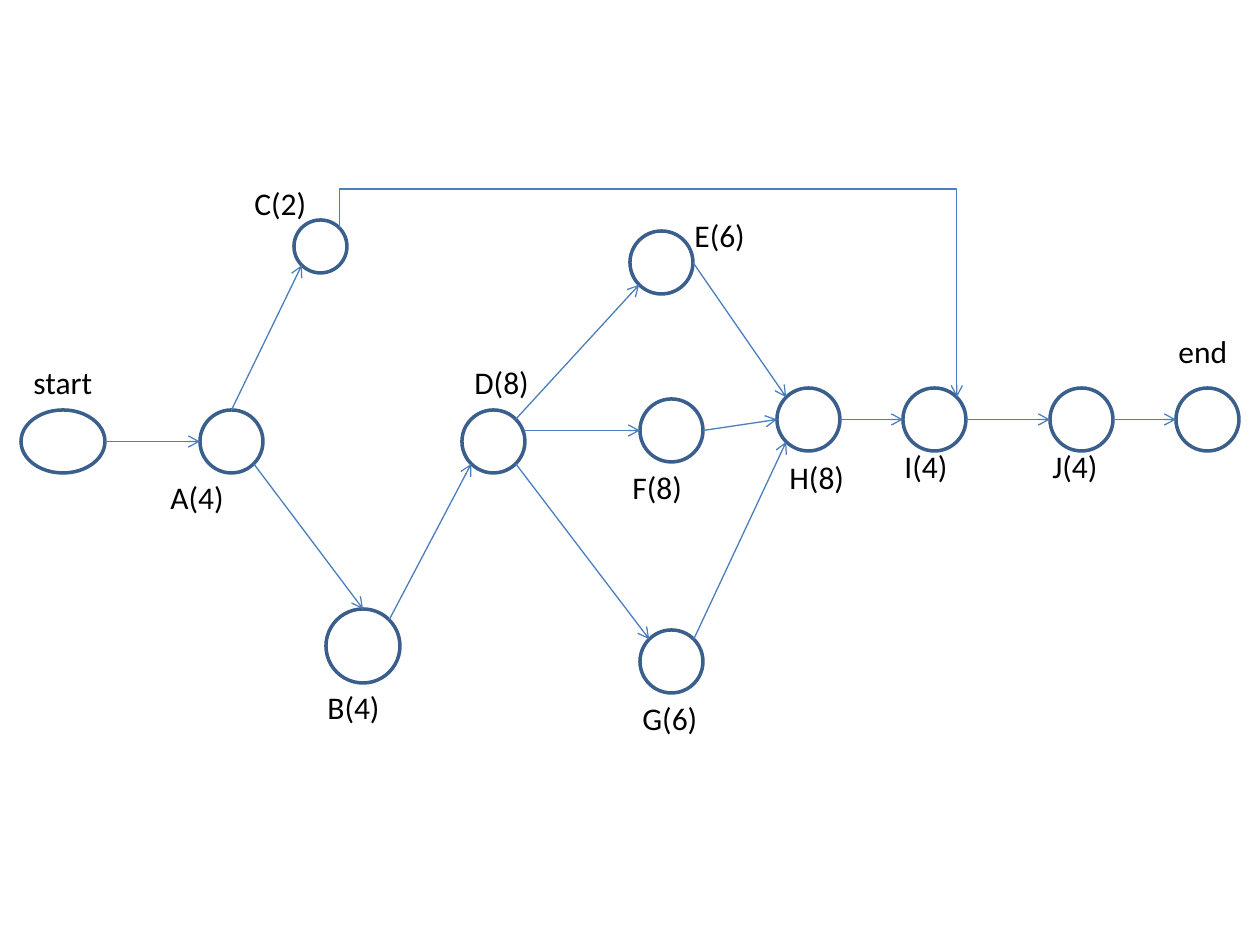
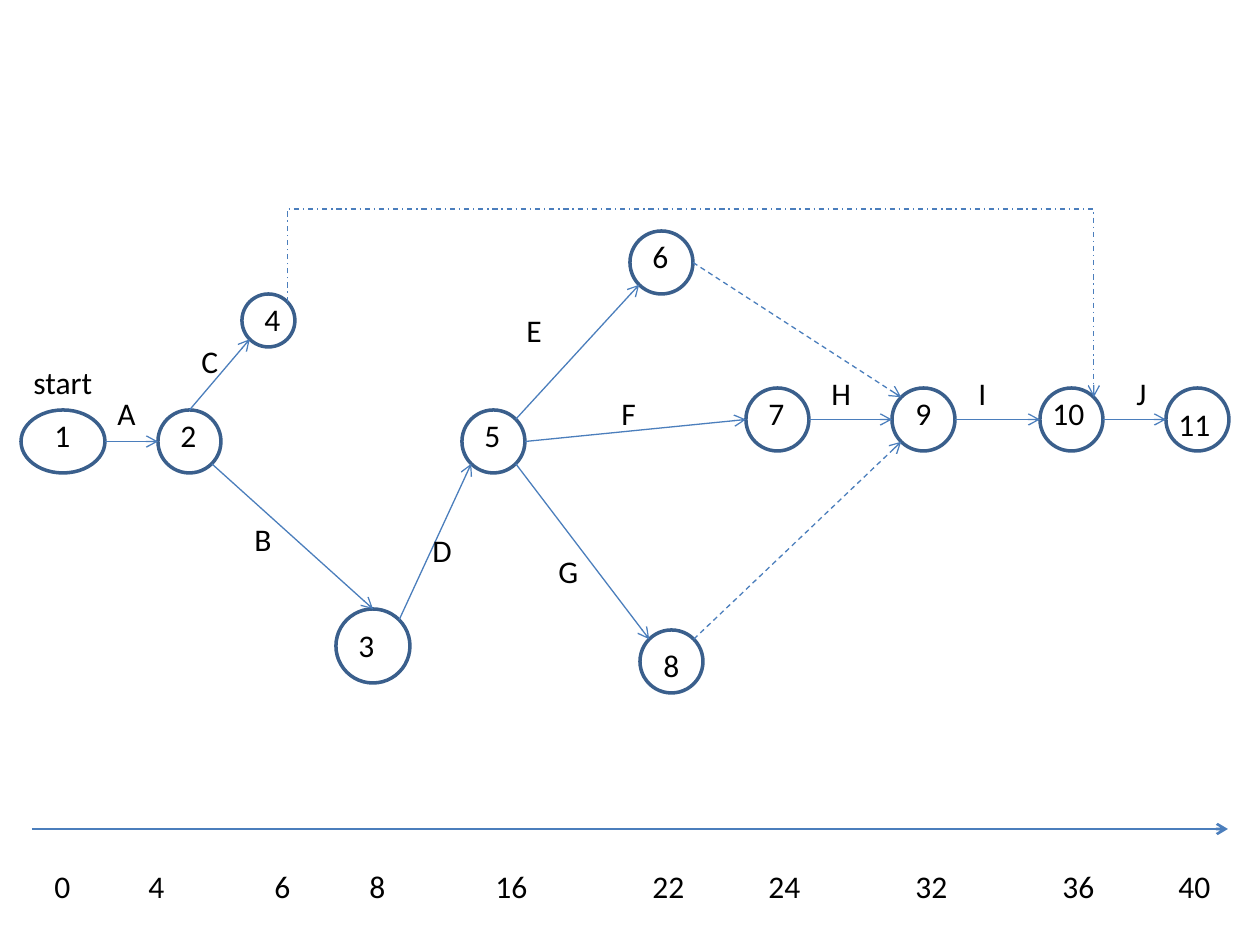
from dataclasses import dataclass
from math import sqrt

from lxml import etree
from pptx import Presentation
from pptx.dml.color import RGBColor
from pptx.enum.dml import MSO_LINE
from pptx.enum.shapes import MSO_CONNECTOR, MSO_SHAPE
from pptx.enum.text import MSO_AUTO_SIZE
from pptx.oxml.ns import qn
from pptx.util import Emu, Inches, Pt

STRAIGHT, ELBOW = MSO_CONNECTOR.STRAIGHT, MSO_CONNECTOR.ELBOW
OVAL = MSO_SHAPE.OVAL
DASH, DASH_DOT = MSO_LINE.DASH, MSO_LINE.DASH_DOT
FIT_SHAPE = MSO_AUTO_SIZE.SHAPE_TO_FIT_TEXT


@dataclass(frozen=True)
class Theme:
    font: str = "Calibri"
    size: float = 18
    text: str = "000000"
    node_fill: str = "FFFFFF"
    node_line: str = "3A5F8C"
    node_width: float = 2
    arrow: str = "4B7EBC"
    arrow_width: float = 0.75
    axis_width: float = 1.5


THEME = Theme()
PIXEL = Inches(1) / 126
LABEL_HEIGHT = 50

# Content: nodes are name: (left, top, width, height)
ACTIVITY_NODES = {
    "start": (21, 410, 84, 63), "A": (200, 410, 63, 63),
    "D": (462, 410, 63, 63), "C": (294, 220, 53, 53),
    "B": (326, 609, 74, 74), "F": (640, 399, 63, 63),
    "G": (640, 630, 63, 63), "H": (777, 388, 63, 63),
    "E": (630, 231, 63, 63), "I": (903, 388, 63, 63),
    "J": (1050, 388, 63, 63), "end": (1176, 388, 63, 63),
}
EVENT_NODES = {
    "1": (21, 410, 84, 63), "2": (158, 410, 63, 63),
    "5": (462, 410, 63, 63), "4": (242, 294, 53, 53),
    "3": (336, 609, 74, 74), "7": (746, 388, 63, 63),
    "8": (640, 630, 63, 63), "9": (892, 388, 63, 63),
    "6": (630, 231, 63, 63), "10": (1040, 388, 63, 63),
    "11": (1166, 388, 63, 63),
}

# Arrows: (from node, side, to node, side, dash)
ACTIVITY_ARROWS = [
    ("start", "e", "A", "w", None), ("A", "n", "C", "sw", None),
    ("A", "se", "B", "n", None), ("B", "ne", "D", "sw", None),
    ("D", "ne", "E", "sw", None), ("D", "level", "F", "w", None),
    ("D", "se", "G", "nw", None), ("E", "e", "H", "nw", None),
    ("F", "e", "H", "w", None), ("G", "ne", "H", "sw", None),
    ("H", "e", "I", "w", None), ("I", "e", "J", "w", None),
    ("J", "e", "end", "w", None),
]
EVENT_ARROWS = [
    ("1", "e", "2", "w", None), ("2", "n", "4", "sw", None),
    ("2", "se", "3", "n", None), ("3", "ne", "5", "sw", None),
    ("5", "ne", "6", "sw", None), ("5", "e", "7", "w", None),
    ("5", "se", "8", "nw", None), ("6", "e", "9", "nw", DASH),
    ("8", "ne", "9", "sw", DASH), ("7", "e", "9", "w", None),
    ("9", "e", "10", "w", None), ("10", "e", "11", "w", None),
]

# Labels: (text, left, top, width)
ACTIVITY_LABELS = [
    ("start", 21, 357, 84), ("end", 1166, 326, 94), ("A(4)", 158, 472, 94),
    ("B(4)", 315, 682, 94), ("C(2)", 242, 178, 94), ("D(8)", 462, 357, 94),
    ("E(6)", 682, 210, 94), ("F(8)", 620, 462, 94), ("G(6)", 630, 693, 94),
    ("H(8)", 777, 452, 94), ("I(4)", 892, 441, 94), ("J(4)", 1040, 441, 94),
]
EVENT_LABELS = [
    ("start", 21, 357, 84),
    ("A", 105, 388, 94), ("B", 242, 514, 53), ("C", 189, 336, 53),
    ("D", 420, 525, 94), ("E", 514, 305, 42), ("F", 609, 388, 42),
    ("G", 546, 546, 53), ("H", 819, 368, 53), ("I", 966, 368, 42),
    ("J", 1124, 368, 42),
    ("1", 42, 410, 42), ("2", 168, 410, 42), ("3", 346, 620, 42),
    ("4", 252, 294, 42), ("5", 472, 410, 42), ("6", 640, 231, 42),
    ("7", 756, 388, 42), ("8", 651, 640, 42), ("9", 903, 388, 42),
    ("10", 1040, 388, 63), ("11", 1166, 399, 63),
]

# Time axis: (time, left, label width)
AXIS = ((32, 829), (1228, 829))
TICK_TOP = 861
TICKS = [
    ("0", 42, 42), ("4", 136, 42), ("6", 262, 42), ("8", 357, 42),
    ("16", 483, 63), ("22", 640, 63), ("24", 756, 63),
    ("32", 903, 74), ("36", 1050, 74), ("40", 1166, 74),
]


def px(value):
    return Emu(round(value * PIXEL))


def side_point(box, side):
    """Point of an ellipse in a compass direction."""
    left, top, width, height = box
    dx = ("e" in side) - ("w" in side)
    dy = ("s" in side) - ("n" in side)
    reach = 1 / sqrt(2) if dx and dy else 1
    return (left + width / 2 * (1 + dx * reach),
            top + height / 2 * (1 + dy * reach))


def add_text(slide, text, left, top, width, size=THEME.size, color=THEME.text):
    label = slide.shapes.add_textbox(px(left), px(top), px(width), px(LABEL_HEIGHT))
    frame = label.text_frame
    frame.word_wrap = True
    frame.auto_size = FIT_SHAPE
    run = frame.paragraphs[0].add_run()
    run.text = text
    run.font.name = THEME.font
    run.font.size = Pt(size)
    run.font.color.rgb = RGBColor.from_string(color)


def add_node(slide, box):
    node = slide.shapes.add_shape(OVAL, *map(px, box))
    node.shadow.inherit = False
    node.fill.solid()
    node.fill.fore_color.rgb = RGBColor.from_string(THEME.node_fill)
    node.line.color.rgb = RGBColor.from_string(THEME.node_line)
    node.line.width = Pt(THEME.node_width)


def add_arrow(slide, start, end, kind=STRAIGHT, dash=None, width=THEME.arrow_width):
    arrow = slide.shapes.add_connector(kind, *map(px, (*start, *end)))
    arrow.line.color.rgb = RGBColor.from_string(THEME.arrow)
    arrow.line.width = Pt(width)
    if dash is not None:
        arrow.line.dash_style = dash
    properties = arrow._element.spPr
    etree.SubElement(properties.find(qn("a:ln")), qn("a:tailEnd"), type="arrow")
    etree.SubElement(properties, qn("a:effectLst"))
    return arrow


def add_bypass(slide, start, end, top, dash=None):
    """Elbow arrow that rises to top, runs right and drops to its end."""
    (x1, y1), (x2, y2) = start, end
    mid_x, mid_y = (x1 + x2) / 2, (y1 + y2) / 2
    half_run, half_drop = (x2 - x1) / 2, (y2 - y1) / 2
    # The elbow is drawn sideways, then turned by 270 degrees
    arrow = add_arrow(slide, (mid_x + half_drop, mid_y - half_run),
                      (mid_x - half_drop, mid_y + half_run), kind=ELBOW, dash=dash)
    properties = arrow._element.spPr
    properties.find(qn("a:xfrm")).set("rot", str(270 * 60000))
    bend = round((top - y1) / (y2 - y1) * 100000)
    etree.SubElement(properties.find(qn("a:prstGeom")).find(qn("a:avLst")),
                     qn("a:gd"), name="adj1", fmla=f"val {bend}")


def add_network(deck, nodes, arrows, bypass, labels):
    slide = deck.slides.add_slide(deck.slide_layouts[6])
    for box in nodes.values():
        add_node(slide, box)
    for source, side, target, target_side, dash in arrows:
        end = side_point(nodes[target], target_side)
        if side == "level":  # leave the right edge at the height of the target
            start = (side_point(nodes[source], "e")[0], end[1])
        else:
            start = side_point(nodes[source], side)
        add_arrow(slide, start, end, dash=dash)
    source, target, top, dash = bypass
    add_bypass(slide, side_point(nodes[source], "ne"),
               side_point(nodes[target], "ne"), top, dash=dash)
    for label in labels:
        add_text(slide, *label)
    return slide


deck = Presentation()
deck.slide_width, deck.slide_height = px(1260), px(945)

# Slide 1: activities on the nodes
add_network(deck, ACTIVITY_NODES, ACTIVITY_ARROWS, ("C", "I", 189, None),
            ACTIVITY_LABELS)

# Slide 2: activities on the arrows, above a time axis
schedule = add_network(deck, EVENT_NODES, EVENT_ARROWS, ("4", "10", 209, DASH_DOT),
                       EVENT_LABELS)
add_arrow(schedule, *AXIS, width=THEME.axis_width)
for time, left, width in TICKS:
    add_text(schedule, time, left, TICK_TOP, width)

deck.save("out.pptx")
